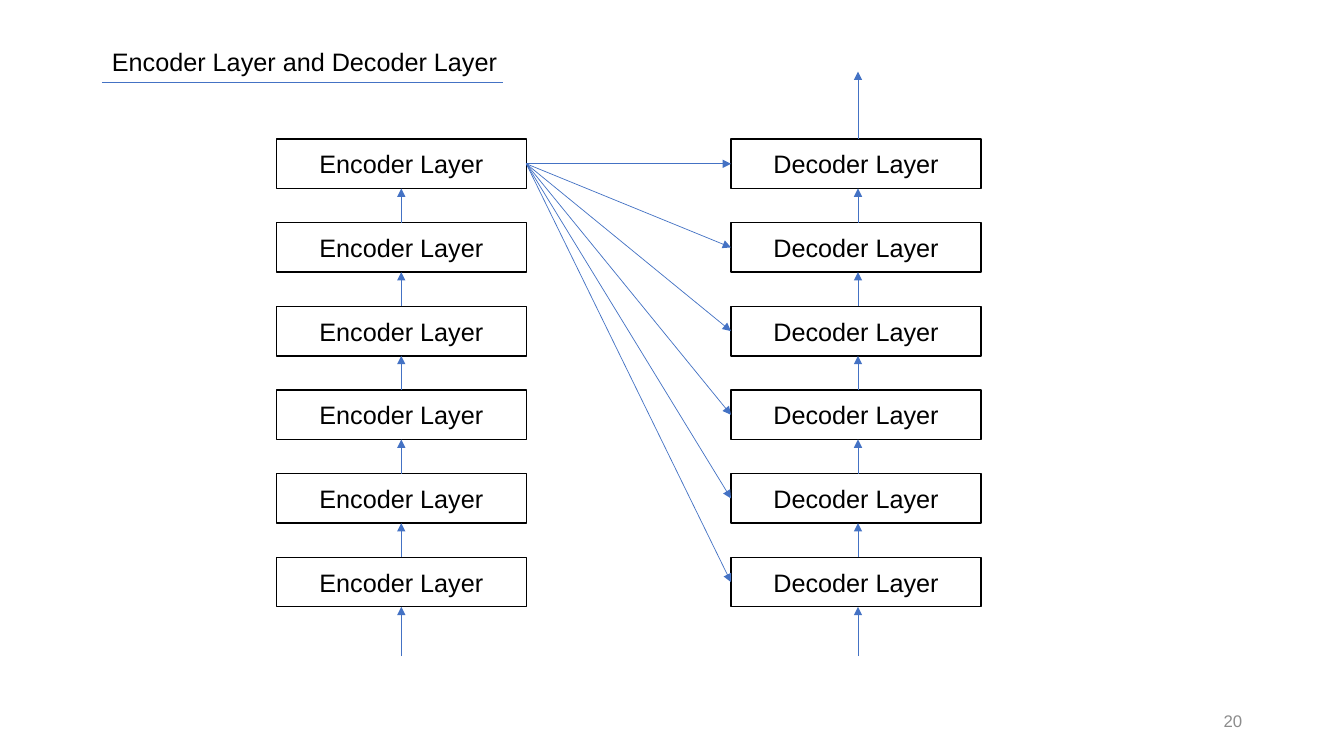
from dataclasses import dataclass

from pptx import Presentation
from pptx.dml.color import RGBColor
from pptx.enum.shapes import MSO_CONNECTOR as CONN, MSO_SHAPE as SHAPE
from pptx.enum.text import MSO_ANCHOR as ANCHOR, MSO_AUTO_SIZE as AUTO, PP_ALIGN as ALIGN
from pptx.oxml.ns import qn
from pptx.util import Inches, Pt
from lxml.etree import SubElement


@dataclass(frozen=True)
class Theme:
    font: str = "Arial"
    ink: RGBColor = RGBColor(0x00, 0x00, 0x00)
    paper: RGBColor = RGBColor(0xFF, 0xFF, 0xFF)
    accent: RGBColor = RGBColor(0x44, 0x72, 0xC4)
    muted: RGBColor = RGBColor(0x8C, 0x8C, 0x8C)
    body: int = 18
    small: int = 12
    box_line: float = 1
    thin_line: float = 0.5


THEME = Theme()
LAYERS = 6
LAYER_H = 0.49
PITCH = 0.83


def write(sp, text, size, color, align, anchor):
    tf = sp.text_frame
    tf.word_wrap = True
    tf.auto_size = AUTO.NONE
    tf.vertical_anchor = anchor
    p = tf.paragraphs[0]
    p.alignment = align
    r = p.add_run()
    r.text = text
    r.font.name = THEME.font
    r.font.size = Pt(size)
    r.font.color.rgb = color


def add_line(slide, start, end, arrow=True):
    cx = slide.shapes.add_connector(CONN.STRAIGHT, *map(Inches, start + end))
    cx.line.color.rgb = THEME.accent
    cx.line.width = Pt(THEME.thin_line)
    if arrow:
        SubElement(cx.line._get_or_add_ln(), qn("a:tailEnd"), type="triangle")
    SubElement(cx._element.spPr, qn("a:effectLst"))


def add_title(slide, text, left, top, width, height, rule_width):
    title = slide.shapes.title
    title.left, title.top = Inches(left), Inches(top)
    title.width, title.height = Inches(width), Inches(height)
    write(title, text, THEME.body, THEME.ink, ALIGN.LEFT, ANCHOR.TOP)
    rule_y = top + height + 0.01
    add_line(slide, (left, rule_y), (left + rule_width, rule_y), arrow=False)


def add_stack(slide, label, left, top, width, axis, outlet=0):
    tops = [top + i * PITCH for i in range(LAYERS)]
    for y in tops:
        sp = slide.shapes.add_shape(
            SHAPE.RECTANGLE, Inches(left), Inches(y), Inches(width), Inches(LAYER_H))
        sp.shadow.inherit = False
        sp.fill.solid()
        sp.fill.fore_color.rgb = THEME.paper
        sp.line.color.rgb = THEME.ink
        sp.line.width = Pt(THEME.box_line)
        write(sp, label, THEME.body, THEME.ink, ALIGN.CENTER, ANCHOR.MIDDLE)
    inlet = tops[-1] + 2 * LAYER_H
    for y, start in zip(tops, tops[1:] + [inlet]):
        add_line(slide, (axis, start), (axis, y + LAYER_H))
    if outlet:
        add_line(slide, (axis, top), (axis, top - outlet))
    return [y + LAYER_H / 2 for y in tops]


def add_fan(slide, source, target_x, target_ys):
    for y in target_ys:
        add_line(slide, source, (target_x, y))


def add_page_number(slide, text, left, top, width, height):
    box = slide.shapes.add_textbox(*map(Inches, (left, top, width, height)))
    write(box, text, THEME.small, THEME.muted, ALIGN.RIGHT, ANCHOR.MIDDLE)


def build_layers_slide(prs):
    slide = prs.slides.add_slide(prs.slide_layouts[5])
    top, width = 1.38, 2.48
    encoder_x, decoder_x = 2.74, 7.25
    add_title(slide, "Encoder Layer and Decoder Layer", 1.01, 0.41, 4.56, 0.4, 3.98)
    encoder_ys = add_stack(slide, "Encoder Layer", encoder_x, top, width, 3.98)
    decoder_ys = add_stack(slide, "Decoder Layer", decoder_x, top, width, 8.51, outlet=0.67)
    add_fan(slide, (encoder_x + width, encoder_ys[0]), decoder_x, decoder_ys)
    add_page_number(slide, "20", 9.42, 6.95, 3, 0.4)


def main():
    prs = Presentation()
    prs.slide_width, prs.slide_height = Inches(13.33), Inches(7.5)
    build_layers_slide(prs)
    prs.save("out.pptx")


if __name__ == "__main__":
    main()
